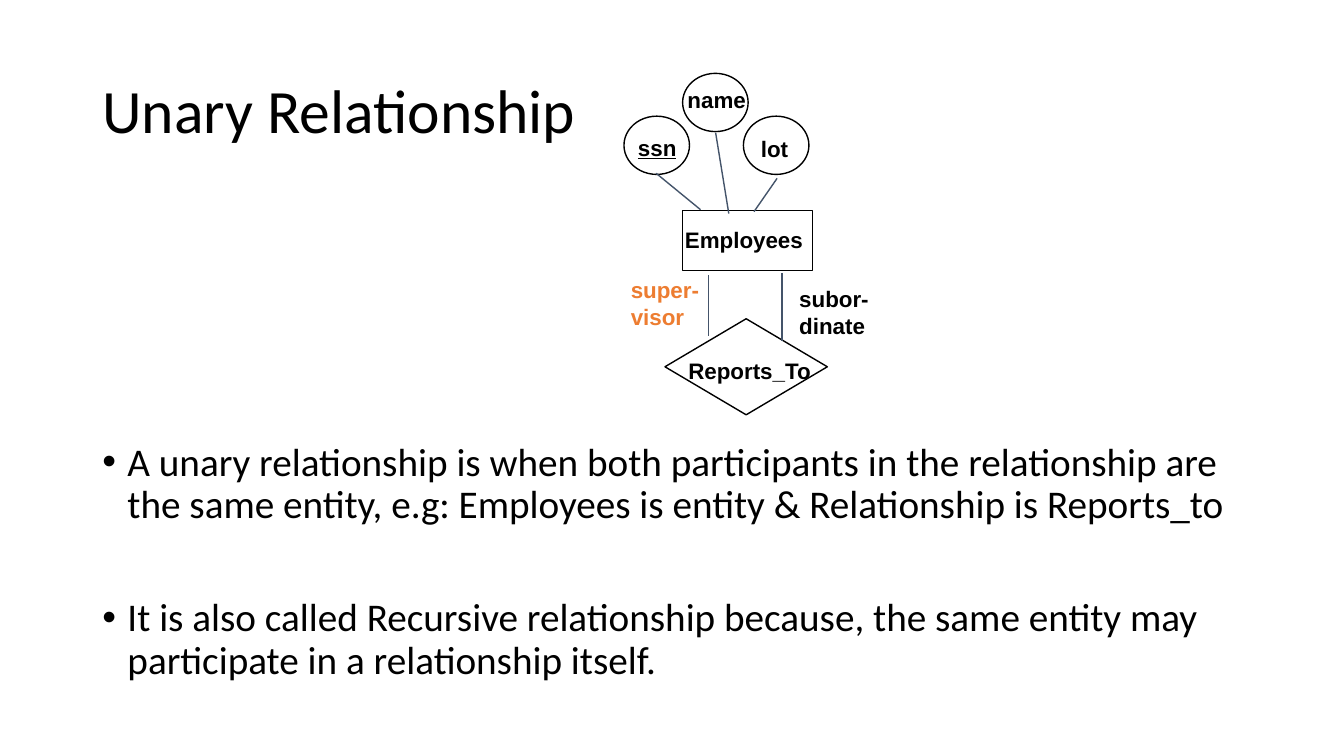
"""Build the slide explaining a unary relationship with a small ER diagram."""
from dataclasses import dataclass

from lxml import etree
from pptx import Presentation
from pptx.dml.color import RGBColor
from pptx.enum import shapes, text
from pptx.oxml import ns
from pptx.util import Pt

TITLE = "Unary Relationship"
BULLETS = [
    "A unary relationship is when both participants in the relationship are the same entity, "
    "e.g: Employees is entity & Relationship is Reports_to",
    "It is also called Recursive relationship because, the same entity may participate "
    "in a relationship itself.",
]
TITLE_AREA = (66, 28.8, 828, 104.4)
BODY_AREA = (66, 312.5, 828, 218.9)
ATTRIBUTE_SIZE = (46.8, 41.6)
ATTRIBUTES = [(487.6, 52.4), (445.7, 83), (531, 83)]
EMPLOYEES = (487.5, 150.2, 93, 43)
REPORTS_TO = (475, 227.7, 116, 68.6)
LABELS = [
    ("Reports_To", (484.6, 251.3, 103, 26), {}),
    ("lot", (536.4, 93.2, 34.6, 26), {}),
    ("name", (484, 57.8, 56.9, 26), {}),
    ("Employees", (482.2, 158, 98.6, 26), {}),
    ("subor-dinate", (563.8, 200, 70.6, 45.4), {"wrap": True}),
    ("super-visor", (443.5, 194, 65.5, 45.4), {"wrap": True, "color": "accent"}),
    ("ssn", (448.6, 92, 41.8, 26), {"underline": True}),
]
LINKS = [
    (506.2, 196.6, 506.2, 239.8),
    (558.7, 195.1, 558.7, 243.4),
    (468.7, 123.8, 500.4, 149.8),
    (511.2, 95, 520.6, 152.6),
    (555.1, 127.4, 538.6, 151.2),
]


@dataclass(frozen=True)
class Theme:
    """Hold the colours, fonts and type sizes."""
    ink: RGBColor = RGBColor(0, 0, 0)
    accent: RGBColor = RGBColor(0xED, 0x7D, 0x31)
    link: RGBColor = RGBColor(0x44, 0x54, 0x6A)
    prose_font: str = "Calibri"
    label_font: str = "Arial"
    title_size: int = 44
    body_size: int = 28
    label_size: int = 16


THEME = Theme()


def points(values):
    """Turn numbers into point lengths."""
    return [Pt(value) for value in values]


def set_font(para, name, size, color):
    """Set the paragraph's typeface, size and colour."""
    para.font.name = name
    para.font.size = Pt(size)
    para.font.color.rgb = color


def add_title(page):
    """Place and format the title placeholder."""
    title = page.shapes.title
    title.left, title.top, title.width, title.height = points(TITLE_AREA)
    frame = title.text_frame
    frame.text = TITLE
    frame.auto_size = text.MSO_AUTO_SIZE.NONE
    frame.vertical_anchor = text.MSO_ANCHOR.MIDDLE
    para = frame.paragraphs[0]
    para.alignment = text.PP_ALIGN.LEFT
    para.line_spacing = 0.9
    set_font(para, THEME.prose_font, THEME.title_size, THEME.ink)


def add_bullets(page):
    """Write the bulleted explanation."""
    frame = page.shapes.add_textbox(*points(BODY_AREA)).text_frame
    frame.word_wrap = True
    frame.text = "\n".join(BULLETS)
    for index, para in enumerate(frame.paragraphs):
        para.line_spacing = 0.9
        para.space_before = Pt(50.5 if index else 10)
        set_font(para, THEME.prose_font, THEME.body_size, THEME.ink)
        properties = para._p.get_or_add_pPr()
        properties.set("marL", str(Pt(18)))
        properties.set("indent", str(Pt(-18)))
        bullet_font = etree.Element(ns.qn("a:buFont"), typeface="Arial")
        bullet = etree.Element(ns.qn("a:buChar"), char="•")
        properties.find(ns.qn("a:defRPr")).addprevious(bullet_font)
        bullet_font.addnext(bullet)


def add_outline(page, kind, area):
    """Draw an unfilled diagram shape."""
    shape = page.shapes.add_shape(kind, *points(area))
    shape.shadow.inherit = False
    shape.fill.background()
    shape.line.color.rgb = THEME.ink
    shape.line.width = Pt(1)


def add_label(page, words, area, color="ink", wrap=False, underline=None):
    """Write one bold diagram label."""
    frame = page.shapes.add_textbox(*points(area)).text_frame
    frame.word_wrap = wrap
    frame.auto_size = text.MSO_AUTO_SIZE.SHAPE_TO_FIT_TEXT
    frame.text = words
    para = frame.paragraphs[0]
    set_font(para, THEME.label_font, THEME.label_size, getattr(THEME, color))
    para.font.bold = True
    para.font.underline = underline


def add_link(page, ends):
    """Draw a straight line between diagram parts."""
    link = page.shapes.add_connector(shapes.MSO_CONNECTOR.STRAIGHT, *points(ends))
    link.line.color.rgb = THEME.link
    link.line.width = Pt(1)
    etree.SubElement(link._element.spPr, ns.qn("a:effectLst"))


def main():
    """Assemble and save the deck."""
    deck = Presentation()
    deck.slide_width, deck.slide_height = points((960, 540))
    page = deck.slides.add_slide(deck.slide_layouts.get_by_name("Title Only"))
    add_title(page)
    add_bullets(page)
    for corner in ATTRIBUTES:
        add_outline(page, shapes.MSO_SHAPE.OVAL, corner + ATTRIBUTE_SIZE)
    add_outline(page, shapes.MSO_SHAPE.RECTANGLE, EMPLOYEES)
    add_outline(page, shapes.MSO_SHAPE.DIAMOND, REPORTS_TO)
    for words, area, style in LABELS:
        add_label(page, words, area, **style)
    for ends in LINKS:
        add_link(page, ends)
    deck.save("out.pptx")


if __name__ == "__main__":
    main()
